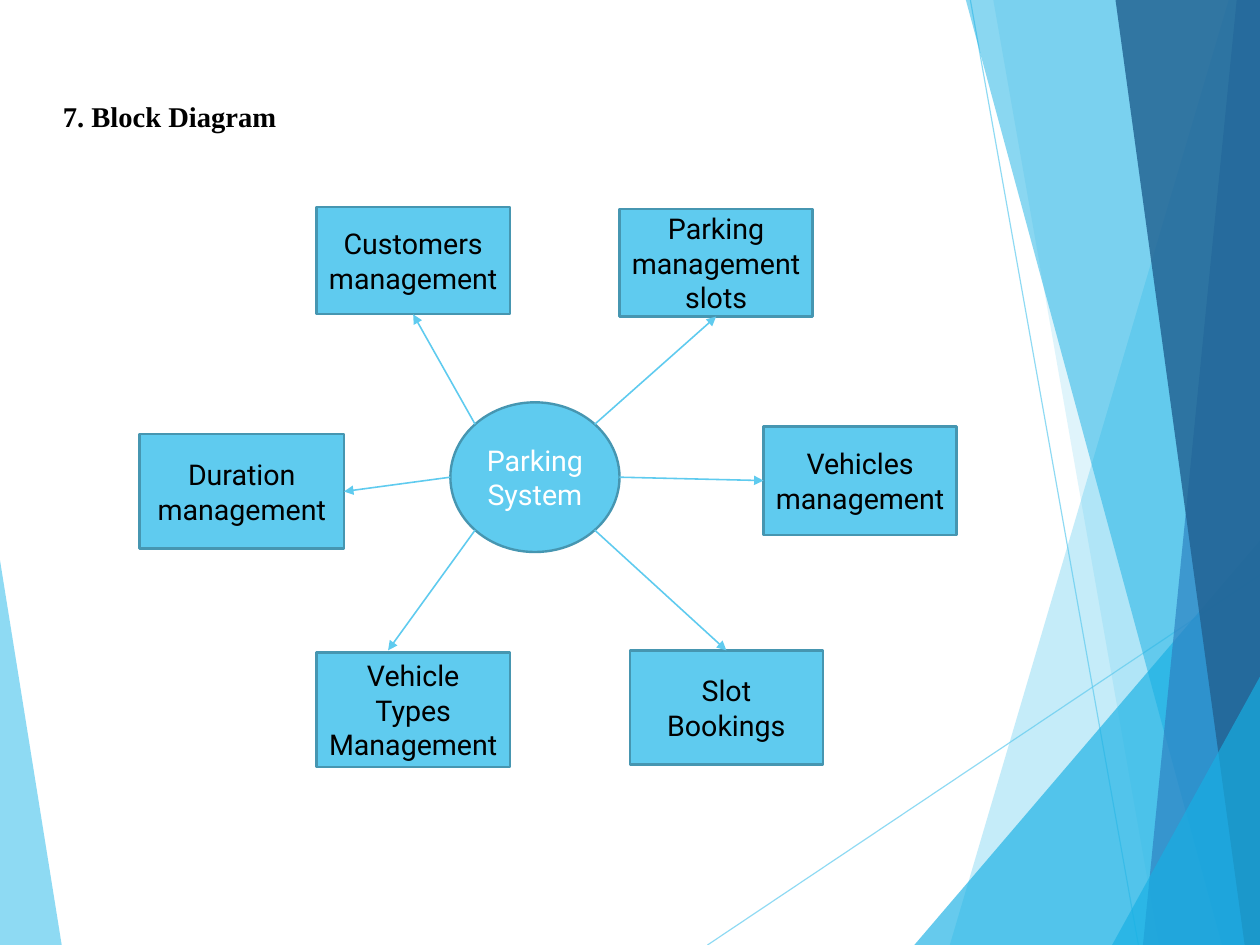
from math import sqrt
from lxml.etree import SubElement
from pptx import Presentation
from pptx.dml.color import RGBColor
from pptx.enum.shapes import MSO_CONNECTOR, MSO_SHAPE
from pptx.enum.text import MSO_ANCHOR, MSO_AUTO_SIZE, PP_ALIGN
from pptx.oxml.ns import qn
from pptx.util import Cm, Inches, Pt

WIDTH, HEIGHT = Cm(28).inches, Cm(21).inches
SKY = RGBColor(0x5F, 0xCB, 0xEF)
CYAN = RGBColor(0x17, 0xB0, 0xE4)
BLUE = RGBColor(0x2E, 0x83, 0xC3)
NAVY = RGBColor(0x22, 0x62, 0x92)
OUTLINE = RGBColor(0x46, 0x96, 0xB1)
BLACK = RGBColor(0, 0, 0)
WHITE = RGBColor(255, 255, 255)

LEFT_FACET = ([(0, 4.9), (0.54, HEIGHT), (0, HEIGHT)], SKY, 70)
RAYS = [((6.19, HEIGHT), (WIDTH, 5.03)), ((8.49, 0), (9.96, HEIGHT))]
RIGHT_FACETS = [
    ([(10.75, 0), (8.31, HEIGHT)], SKY, 36),
    ([(8.69, 0), (10.14, HEIGHT)], SKY, 20),
    ([(WIDTH, 4.73), (8, HEIGHT)], CYAN, 66),
    ([(8.45, 0), (10.69, HEIGHT)], CYAN, 50),
    ([(10.82, 0), (10, HEIGHT)], BLUE, 70),
    ([(9.76, 0), (10.89, HEIGHT)], NAVY, 82),
    ([(WIDTH, 5.92), (9.73, HEIGHT)], CYAN, 66),
]

TITLE = "7. Block Diagram"
HUB = ("Parking System", (3.94, 3.52, 1.48, 1.31))
MODULES = [
    ("Parking management slots", (5.42, 1.83, 1.69, 0.94), (1, -1), (0.5, 1)),
    ("Vehicles management", (6.68, 3.73, 1.69, 0.95), (1, 0), (0, 0.5)),
    ("Slot Bookings", (5.51, 5.69, 1.69, 1), (1, 1), (0.5, 0)),
    ("Vehicle Types Management", (2.77, 5.71, 1.69, 1), (-1, 1), (0.37, -0.02)),
    ("Duration management", (1.22, 3.8, 1.79, 1), (-1, 0), (1, 0.5)),
    ("Customers management", (2.77, 1.81, 1.69, 0.94), (-1, -1), (0.5, 1)),
]

deck = Presentation()
deck.slide_width, deck.slide_height = Inches(WIDTH), Inches(HEIGHT)
slide = deck.slides.add_slide(deck.slide_layouts[5])


def write(shape, text, font="Roboto", color=BLACK, bold=False, align=PP_ALIGN.CENTER):
    frame = shape.text_frame
    frame.word_wrap = True
    frame.auto_size = MSO_AUTO_SIZE.NONE
    frame.vertical_anchor = MSO_ANCHOR.MIDDLE
    paragraph = frame.paragraphs[0]
    paragraph.alignment = align
    run = paragraph.add_run()
    run.text = text
    run.font.name, run.font.size, run.font.bold = font, Pt(18), bold
    run.font.color.rgb = color


def set_alpha(fill, percent):
    color = next(fill.iter(qn("a:srgbClr")))
    SubElement(color, qn("a:alpha")).set("val", str(percent * 1000))


def add_facet(points, color, opacity):
    corners = [(Inches(x), Inches(y)) for x, y in points]
    builder = slide.shapes.build_freeform(*corners[0])
    builder.add_line_segments(corners[1:], close=True)
    facet = builder.convert_to_shape()
    facet.shadow.inherit = False
    facet.fill.solid()
    facet.fill.fore_color.rgb = color
    facet.line.fill.background()
    set_alpha(facet.element.spPr, opacity)


def add_line(start, end, weight):
    line = slide.shapes.add_connector(
        MSO_CONNECTOR.STRAIGHT, *[Inches(v) for v in (*start, *end)])
    line.line.color.rgb = SKY
    line.line.width = Pt(weight)
    SubElement(line.element.spPr, qn("a:effectLst"))
    return line


def add_node(preset, text, box, color=BLACK):
    node = slide.shapes.add_shape(preset, *[Inches(v) for v in box])
    node.shadow.inherit = False
    node.fill.solid()
    node.fill.fore_color.rgb = SKY
    node.line.color.rgb = OUTLINE
    node.line.width = Pt(1.5)
    write(node, text, color=color)


add_facet(*LEFT_FACET)
for start, end in RAYS:
    ray = add_line(start, end, 0.75)
    set_alpha(ray.line._get_or_add_ln(), 70)
for (top, bottom), color, opacity in RIGHT_FACETS:
    right_edge = [(WIDTH, HEIGHT), (WIDTH, top[1])]
    add_facet([top, bottom] + right_edge, color, opacity)

title = slide.shapes.title
title.left, title.top, title.width, title.height = [
    Inches(v) for v in (0.55, 0.33, 9.92, 1.38)]
write(title, TITLE, font="Times New Roman", bold=True, align=PP_ALIGN.LEFT)
title.text_frame.margin_left = title.text_frame.margin_right = 0
title.text_frame.margin_top, title.text_frame.margin_bottom = Inches(0.03), 0
title.text_frame.paragraphs[0].line_spacing = 0.93

hub_text, hub_box = HUB
add_node(MSO_SHAPE.OVAL, hub_text, hub_box, color=WHITE)
for text, box, _, _ in MODULES:
    add_node(MSO_SHAPE.RECTANGLE, text, box)

hub_left, hub_top, hub_width, hub_height = hub_box
for _, (left, top, width, height), (dx, dy), (across, down) in MODULES:
    reach = 2 * sqrt(dx * dx + dy * dy)
    start = (hub_left + hub_width * (0.5 + dx / reach),
             hub_top + hub_height * (0.5 + dy / reach))
    arrow = add_line(start, (left + width * across, top + height * down), 1)
    SubElement(arrow.line._get_or_add_ln(), qn("a:tailEnd")).set("type", "triangle")

deck.save("out.pptx")
